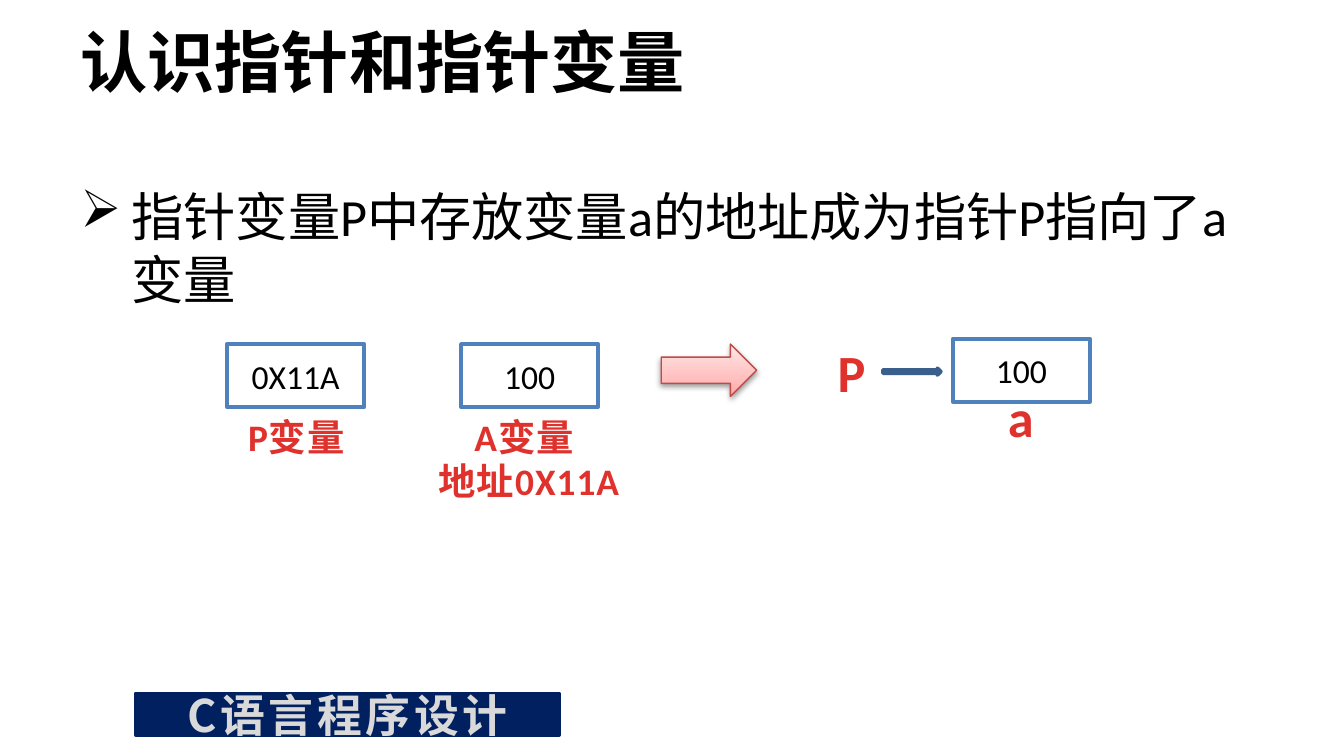
from dataclasses import dataclass

from lxml import etree
from pptx import Presentation
from pptx.dml.color import RGBColor
from pptx.enum.shapes import MSO_SHAPE
from pptx.enum.text import MSO_ANCHOR, PP_ALIGN
from pptx.oxml.ns import qn
from pptx.util import Inches, Pt

RECT, ARROW = MSO_SHAPE.RECTANGLE, MSO_SHAPE.RIGHT_ARROW
TOP, MIDDLE = MSO_ANCHOR.TOP, MSO_ANCHOR.MIDDLE
LEFT, CENTER = PP_ALIGN.LEFT, PP_ALIGN.CENTER
LATIN, CJK = "Calibri", "Noto Sans CJK SC"
COLORS = {
    "black": "000000", "white": "FFFFFF", "navy": "002060", "gray": "D9D9D9",
    "blue": "4F81BD", "dark_blue": "3A5F8C", "red": "E0322D", "arrow_line": "BF4C48",
}
ARROW_STOPS = [(0, "FFA6A5"), (35, "FFC0BF"), (100, "FFE7E7")]
CELL_W, CELL_H = 1.02, 0.47


@dataclass
class Cell:
    """A box standing for a piece of memory."""
    text: str
    x: float
    y: float


@dataclass
class Label:
    """A red caption; each line is one paragraph."""
    lines: list[str]
    x: float
    y: float
    w: float
    h: float
    size: int


def color(name: str) -> RGBColor:
    return RGBColor.from_string(COLORS[name])


def write(s, lines: list[str], *, size: int, ink: str = "black", bold: bool = False,
          align=CENTER, anchor=TOP, font: str = LATIN, spacing: float = 0):
    tf = s.text_frame
    tf.word_wrap = True
    tf.vertical_anchor = anchor
    for i, line in enumerate(lines):
        p = tf.add_paragraph() if i else tf.paragraphs[0]
        p.alignment = align
        r = p.add_run()
        r.text = line
        r.font.name, r.font.size, r.font.bold = font, Pt(size), bold
        r.font.color.rgb = color(ink)
        rPr = r._r.get_or_add_rPr()
        rPr.find(qn("a:latin")).addnext(rPr.makeelement(qn("a:ea"), {"typeface": CJK}))
        if spacing:
            rPr.set("spc", str(int(spacing * 100)))
    return tf


def add_text(slide, x: float, y: float, w: float, h: float, lines: list[str], **fmt):
    s = slide.shapes.add_textbox(Inches(x), Inches(y), Inches(w), Inches(h))
    return write(s, lines, **fmt)


def add_block(slide, kind, x: float, y: float, w: float, h: float,
              fill: str, line: str, weight: float = 2):
    s = slide.shapes.add_shape(kind, Inches(x), Inches(y), Inches(w), Inches(h))
    s.shadow.inherit = False
    s.fill.solid()
    s.fill.fore_color.rgb = color(fill)
    s.line.color.rgb = color(line)
    s.line.width = Pt(weight)
    return s


def add_cell(slide, c: Cell) -> None:
    s = add_block(slide, RECT, c.x, c.y, CELL_W, CELL_H, "white", "blue")
    write(s, [c.text], size=18, anchor=MIDDLE)


def add_label(slide, lb: Label) -> None:
    add_text(slide, lb.x, lb.y, lb.w, lb.h, lb.lines,
             size=lb.size, ink="red", bold=True, spacing=0.5)


def set_bullet(p, char: str, indent: float) -> None:
    pPr = p._p.get_or_add_pPr()
    pPr.set("marL", str(Inches(indent)))
    pPr.set("indent", str(-Inches(indent)))
    etree.SubElement(pPr, qn("a:buChar"), char=char)


def set_glow_style(s) -> None:
    """Three-stop upward gradient and a soft shadow below."""
    s.fill.gradient()
    spPr = s._element.spPr
    grad = spPr.find(qn("a:gradFill"))
    stops = grad.find(qn("a:gsLst"))
    for old in list(stops):
        stops.remove(old)
    for pos, value in ARROW_STOPS:
        gs = etree.SubElement(stops, qn("a:gs"), pos=str(pos * 1000))
        etree.SubElement(gs, qn("a:srgbClr"), val=value)
    grad.find(qn("a:lin")).set("ang", str(270 * 60000))
    shadow = etree.SubElement(
        spPr.find(qn("a:effectLst")), qn("a:outerShdw"), blurRad=str(Pt(3.1)),
        dist=str(Pt(1.6)), dir=str(90 * 60000), rotWithShape="0")
    clr = etree.SubElement(shadow, qn("a:srgbClr"), val=COLORS["black"])
    etree.SubElement(clr, qn("a:alpha"), val="38000")


CELLS = [Cell("0X11A", 1.69, 2.56), Cell("100", 3.43, 2.56), Cell("100", 7.09, 2.52)]
LABELS = [
    Label(["A变量 ", "地址0X11A"], 3.11, 3.03, 1.65, 0.77, 20),
    Label(["P变量"], 1.38, 3.03, 1.65, 0.44, 20),
    Label(["P"], 6.02, 2.48, 0.63, 0.57, 28),
    Label(["a"], 7.28, 2.82, 0.63, 0.57, 28),
]


def main() -> None:
    # Widescreen page, 16:9
    prs = Presentation()
    prs.slide_width = Inches(10)
    prs.slide_height = Inches(10 * 9 / 16)
    slide = prs.slides.add_slide(prs.slide_layouts[6])

    # Course banner
    banner = add_block(slide, RECT, 1.01, 5.16, 3.15, 0.31, "navy", "navy")
    write(banner, ["C语言程序设计"], size=24, ink="gray", bold=True,
          anchor=MIDDLE, font=CJK, spacing=2)

    # Title and bullet
    add_text(slide, 0.5, 0.14, 9, 0.63, ["认识指针和指针变量"],
             size=36, bold=True, align=LEFT, anchor=MIDDLE)
    tf = add_text(slide, 0.5, 1.32, 9, 1.26,
                  ["指针变量P中存放变量a的地址成为指针P指向了a变量"], size=28, align=LEFT)
    set_bullet(tf.paragraphs[0], "➢", 0.38)

    # Memory cells and captions
    for c in CELLS:
        add_cell(slide, c)
    for lb in LABELS:
        add_label(slide, lb)

    # Large arrow between the two views, thin arrow from P to a
    step = add_block(slide, ARROW, 4.92, 2.56, 0.71, 0.39, "white", "arrow_line", 0.75)
    set_glow_style(step)
    add_block(slide, ARROW, 6.57, 2.74, 0.43, 0.05, "blue", "dark_blue")

    prs.save("out.pptx")


if __name__ == "__main__":
    main()
